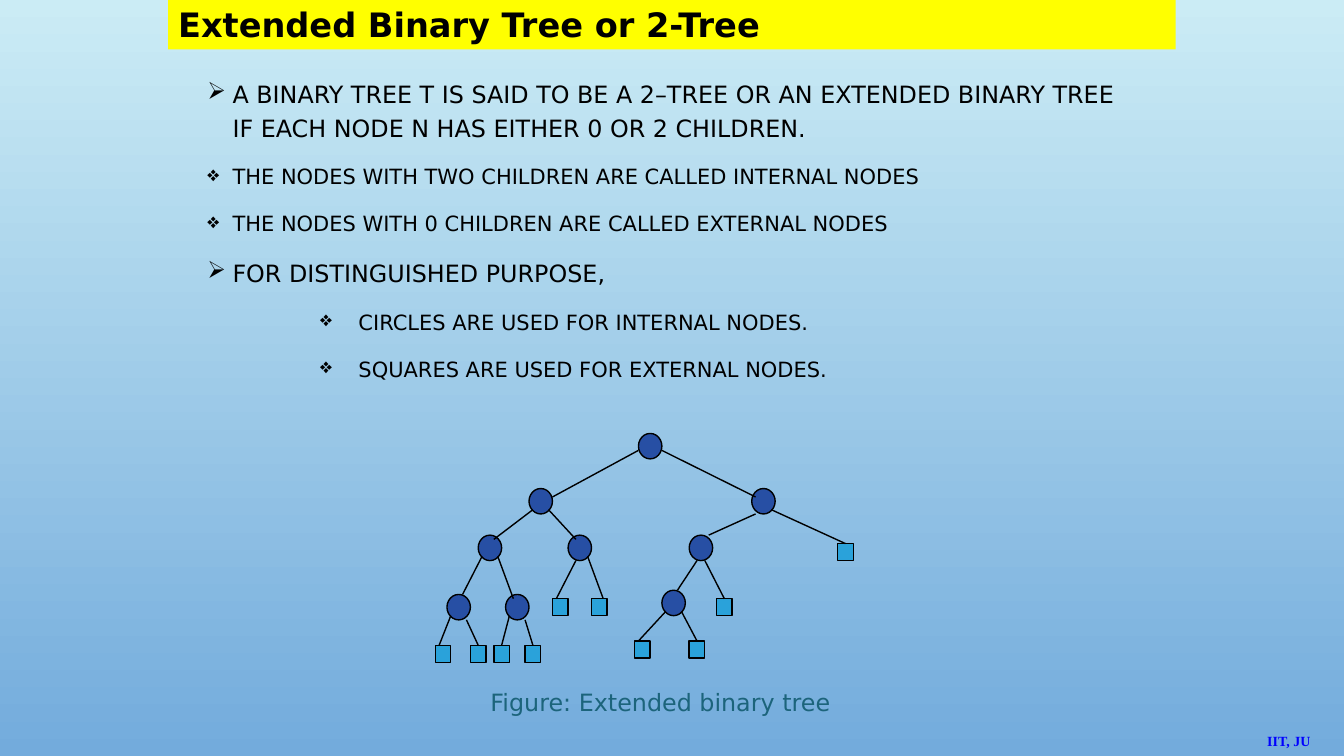
from lxml import etree
from pptx import Presentation
from pptx.dml.color import RGBColor
from pptx.enum.shapes import MSO_CONNECTOR, MSO_SHAPE
from pptx.enum.text import MSO_ANCHOR, PP_ALIGN
from pptx.oxml.ns import qn
from pptx.util import Inches, Pt

LEFT, TOP = PP_ALIGN.LEFT, MSO_ANCHOR.TOP
ELLIPSE, RECTANGLE = MSO_SHAPE.OVAL, MSO_SHAPE.RECTANGLE
STRAIGHT = MSO_CONNECTOR.STRAIGHT

SLIDE_SIZE = (13.34, 7.5)
SANS, SERIF = "DejaVu Sans", "Times New Roman"
BLACK, YELLOW, BLUE, TEAL = "000000", "FFFF00", "0000FF", "1C647B"
CIRCLE_FILL, SQUARE_FILL = "274FA4", "2AA2DA"
BACKGROUND = ("CBECF5", "73ABDC")

TITLE = "Extended Binary Tree or 2-Tree"
CAPTION = "Figure: Extended binary tree"
FOOTER = "IIT, JU"
POINTS = [
    ("➢", 0, 17, "A BINARY TREE T IS SAID TO BE A 2–TREE OR AN EXTENDED BINARY TREE "
                 "IF EACH NODE N HAS EITHER 0 OR 2 CHILDREN."),
    ("❖", 0, 15, "THE NODES WITH TWO CHILDREN ARE CALLED INTERNAL NODES"),
    ("❖", 0, 15, "THE NODES WITH 0 CHILDREN ARE CALLED EXTERNAL NODES"),
    ("➢", 0, 17, "FOR DISTINGUISHED PURPOSE,"),
    ("❖", 1, 15, "CIRCLES ARE USED FOR INTERNAL NODES."),
    ("❖", 1, 15, "SQUARES ARE USED FOR EXTERNAL NODES."),
]
INDENTS = [(0.25, -0.25), (1.5, -0.38)]

TREE_AREA = (4.32, 4.3, 4.15, 2.27)
TREE_COLUMNS, TREE_ROWS = 107, 54
INTERNAL_NODES = [(52, 0), (24, 13), (81, 13), (11, 24), (34, 24), (65, 24),
                  (3, 38), (18, 38), (58, 37)]
EXTERNAL_NODES = [(30, 39), (40, 39), (72, 39), (103, 26), (0, 50), (9, 50),
                  (15, 50), (23, 50), (51, 49), (65, 49)]
NODE_KINDS = [(INTERNAL_NODES, ELLIPSE, 6, CIRCLE_FILL),
              (EXTERNAL_NODES, RECTANGLE, 4, SQUARE_FILL)]
EDGES = [
    (52, 4, 30, 15), (58, 4, 82, 15),
    (25, 18, 15, 25), (29, 18, 36, 25), (82, 19, 70, 24), (86, 18, 105, 26),
    (12, 29, 7, 38), (16, 29, 20, 39), (36, 30, 31, 39), (39, 29, 43, 39),
    (67, 30, 62, 37), (69, 30, 74, 39),
    (4, 43, 1, 50), (8, 44, 11, 50), (19, 43, 17, 50), (23, 44, 25, 50),
    (59, 42, 52, 49), (63, 42, 67, 49),
]


def color(value):
    """Turn a hex string into a colour."""
    return RGBColor.from_string(value)


def tree_point(column, row):
    """Turn a grid position in the tree into slide lengths."""
    left, top, width, height = TREE_AREA
    return (Inches(left + column * width / TREE_COLUMNS),
            Inches(top + row * height / TREE_ROWS))


def write(paragraph, text, size=17, font=SANS, hue=BLACK, bold=False):
    """Write one formatted run into a paragraph."""
    paragraph.alignment = LEFT
    run = paragraph.add_run()
    run.text = text
    run.font.size, run.font.name, run.font.bold = Pt(size), font, bold
    run.font.color.rgb = color(hue)


def add_text(slide, area, text=None, fill=None, **text_format):
    """Add a wrapped text box and return its text frame."""
    box = slide.shapes.add_textbox(*map(Inches, area))
    if fill:
        box.fill.solid()
        box.fill.fore_color.rgb = color(fill)
    frame = box.text_frame
    frame.word_wrap, frame.vertical_anchor = True, TOP
    if text:
        write(frame.paragraphs[0], text, **text_format)
    return frame


def add_bullet(paragraph, character, level):
    """Give a paragraph its indent and bullet."""
    margin, indent = INDENTS[level]
    paragraph.level = level
    properties = paragraph._p.get_or_add_pPr()
    properties.set("marL", str(Inches(margin)))
    properties.set("indent", str(Inches(indent)))
    bullet_color = etree.SubElement(properties, qn("a:buClr"))
    etree.SubElement(bullet_color, qn("a:srgbClr"), val=BLACK)
    etree.SubElement(properties, qn("a:buChar"), char=character)


def add_points(slide):
    """Add the bulleted definition list."""
    frame = add_text(slide, (1.96, 0.68, 9.41, 3.21))
    for index, (character, level, size, text) in enumerate(POINTS):
        paragraph = frame.add_paragraph() if index else frame.paragraphs[0]
        add_bullet(paragraph, character, level)
        paragraph.line_spacing = 1.2
        paragraph.space_before = Pt(6 if index else 0)
        paragraph.space_after = Pt(6)
        write(paragraph, text, size=size)


def add_tree(slide):
    """Draw the nodes and edges of the tree."""
    for nodes, kind, span, fill in NODE_KINDS:
        for column, row in nodes:
            left, top = tree_point(column, row)
            right, bottom = tree_point(column + span, row + span)
            node = slide.shapes.add_shape(kind, left, top, right - left, bottom - top)
            node.shadow.inherit = False
            node.fill.solid()
            node.fill.fore_color.rgb = color(fill)
            node.line.color.rgb, node.line.width = color(BLACK), Pt(1)
    for start_column, start_row, end_column, end_row in EDGES:
        edge = slide.shapes.add_connector(
            STRAIGHT, *tree_point(start_column, start_row), *tree_point(end_column, end_row))
        edge.line.color.rgb, edge.line.width = color(BLACK), Pt(1)
        etree.SubElement(edge._element.spPr, qn("a:effectLst"))


def main():
    """Build and save the slide."""
    presentation = Presentation()
    presentation.slide_width, presentation.slide_height = map(Inches, SLIDE_SIZE)
    slide = presentation.slides.add_slide(presentation.slide_layouts[6])
    background = slide.background.fill
    background.gradient()
    background.gradient_angle = 270
    for stop, hue in zip(background.gradient_stops, BACKGROUND):
        stop.color.rgb = color(hue)
    add_text(slide, (12.48, 7.22, 1.22, 0.27), FOOTER, size=10, font=SERIF, hue=BLUE, bold=True)
    add_points(slide)
    add_tree(slide)
    add_text(slide, (4.77, 6.77, 3.68, 0.39), CAPTION, hue=TEAL)
    add_text(slide, (1.67, -0.01, 10, 0.5), TITLE, fill=YELLOW, size=24, bold=True)
    presentation.save("out.pptx")


if __name__ == "__main__":
    main()
